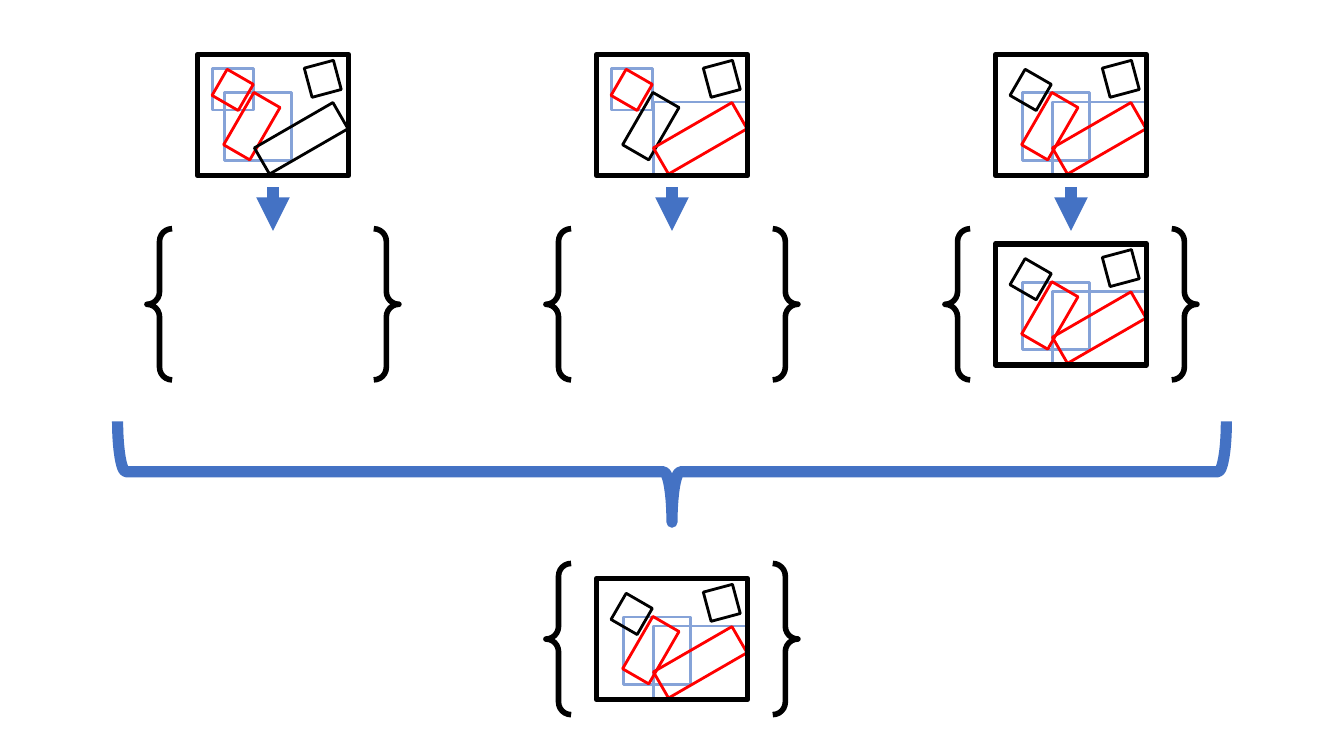
from dataclasses import dataclass

from lxml.etree import SubElement
from pptx import Presentation
from pptx.dml.color import RGBColor
from pptx.enum.shapes import MSO_CONNECTOR, MSO_SHAPE
from pptx.oxml.ns import qn
from pptx.util import Pt


@dataclass(frozen=True)
class Theme:
    ink: RGBColor = RGBColor(0x00, 0x00, 0x00)
    selected: RGBColor = RGBColor(0xFF, 0x00, 0x00)
    bounds: RGBColor = RGBColor(0x86, 0xA3, 0xD8)
    flow: RGBColor = RGBColor(0x44, 0x72, 0xC4)
    thin: int = 2
    medium: int = 4
    thick: int = 8


THEME = Theme()
FRAME_WIDTH, FRAME_HEIGHT = 108, 86.4

# Left, top, width, height and rotation within a frame
OBJECTS = {
    "small": (14.4, 14.4, 21.6, 21.6, 300),
    "medium": (17.3, 40.3, 43.2, 21.6, 300),
    "long": (41.8, 49, 64.8, 21.6, 330),
    "loose": (78.8, 6.5, 21.6, 21.6, 345),
}
BOUNDS = {
    "long": (41, 33.8, 67, 51.8),
    "medium": (19.4, 27.4, 47.8, 48.2),
    "small": (10.8, 10.1, 29.5, 29.5),
}
CANDIDATES = [("small", "medium"), ("small", "long"), ("medium", "long")]
MATCH = CANDIDATES[-1]

FIRST_LEFT, COLUMN_PITCH = 141, 285
CANDIDATE_TOP, RESULT_TOP, UNION_TOP = 39, 174.2, 413.3


def add_outline(shapes, kind, box, color, weight, rotation=0):
    shape = shapes.add_shape(kind, *(Pt(length) for length in box))
    shape.shadow.inherit = False
    shape.fill.background()
    shape.line.color.rgb = color
    shape.line.width = Pt(weight)
    shape.rotation = rotation


def add_scene(slide, left, top, selected):
    """Draw a framed scene whose selected objects are red and have bounds."""
    shapes = slide.shapes.add_group_shape().shapes
    rectangle = MSO_SHAPE.RECTANGLE
    for name, (x, y, width, height) in BOUNDS.items():
        if name in selected:
            add_outline(shapes, rectangle, (left + x, top + y, width, height),
                        THEME.bounds, THEME.thin)
    for name, (x, y, width, height, rotation) in OBJECTS.items():
        color = THEME.selected if name in selected else THEME.ink
        add_outline(shapes, rectangle, (left + x, top + y, width, height),
                    color, THEME.thin, rotation)
    add_outline(shapes, rectangle, (left, top, FRAME_WIDTH, FRAME_HEIGHT),
                THEME.ink, THEME.medium)


def add_result_set(slide, left, top, selected=None):
    """Draw set braces around a scene, or around nothing."""
    margin_x, margin_y = 36, 10.8
    box = (left - margin_x, top - margin_y,
           FRAME_WIDTH + 2 * margin_x, FRAME_HEIGHT + 2 * margin_y)
    add_outline(slide.shapes, MSO_SHAPE.DOUBLE_BRACE, box, THEME.ink, THEME.medium)
    if selected:
        add_scene(slide, left, top, selected)


def add_down_arrow(slide, x, top, length):
    arrow = slide.shapes.add_connector(
        MSO_CONNECTOR.STRAIGHT, Pt(x), Pt(top), Pt(x), Pt(top + length))
    arrow.line.color.rgb = THEME.flow
    arrow.line.width = Pt(THEME.thick)
    SubElement(arrow.line._get_or_add_ln(), qn("a:tailEnd"), type="triangle")
    SubElement(arrow._element.spPr, qn("a:effectLst"))


def add_column(slide, left, selected):
    add_scene(slide, left, CANDIDATE_TOP, selected)
    add_result_set(slide, left, RESULT_TOP, MATCH if selected == MATCH else None)
    add_down_arrow(slide, left + FRAME_WIDTH / 2, 133.9, 31)


def add_union(slide, left):
    """Draw the wide brace that gathers the columns, and the final set."""
    depth, span, center_y = 72, 792, 337
    center_x = left + FRAME_WIDTH / 2
    box = (center_x - depth / 2, center_y - span / 2, depth, span)
    add_outline(slide.shapes, MSO_SHAPE.RIGHT_BRACE, box, THEME.flow, THEME.thick, 90)
    add_result_set(slide, left, UNION_TOP, MATCH)


def main():
    presentation = Presentation()
    presentation.slide_width, presentation.slide_height = Pt(960), Pt(540)
    slide = presentation.slides.add_slide(presentation.slide_layouts[6])
    for index, selected in enumerate(CANDIDATES):
        add_column(slide, FIRST_LEFT + index * COLUMN_PITCH, selected)
    add_union(slide, FIRST_LEFT + COLUMN_PITCH)
    presentation.save("out.pptx")


if __name__ == "__main__":
    main()
